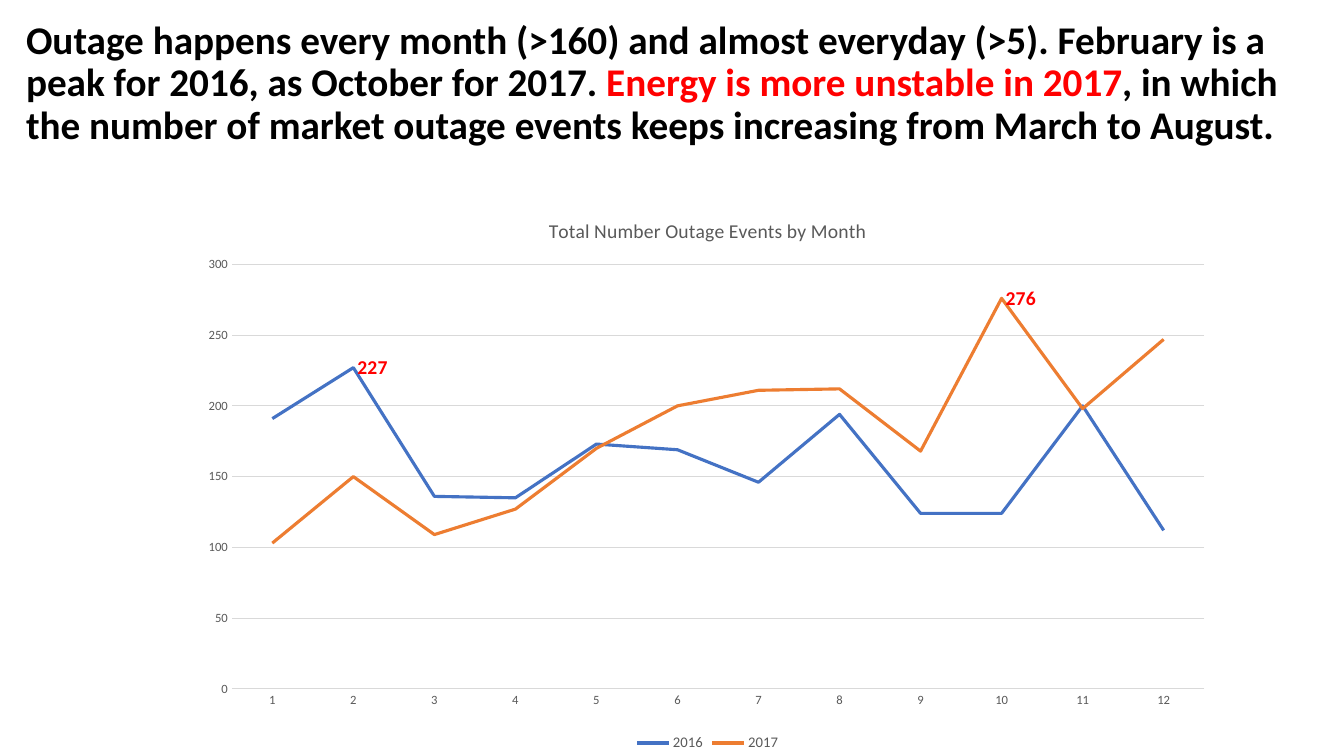
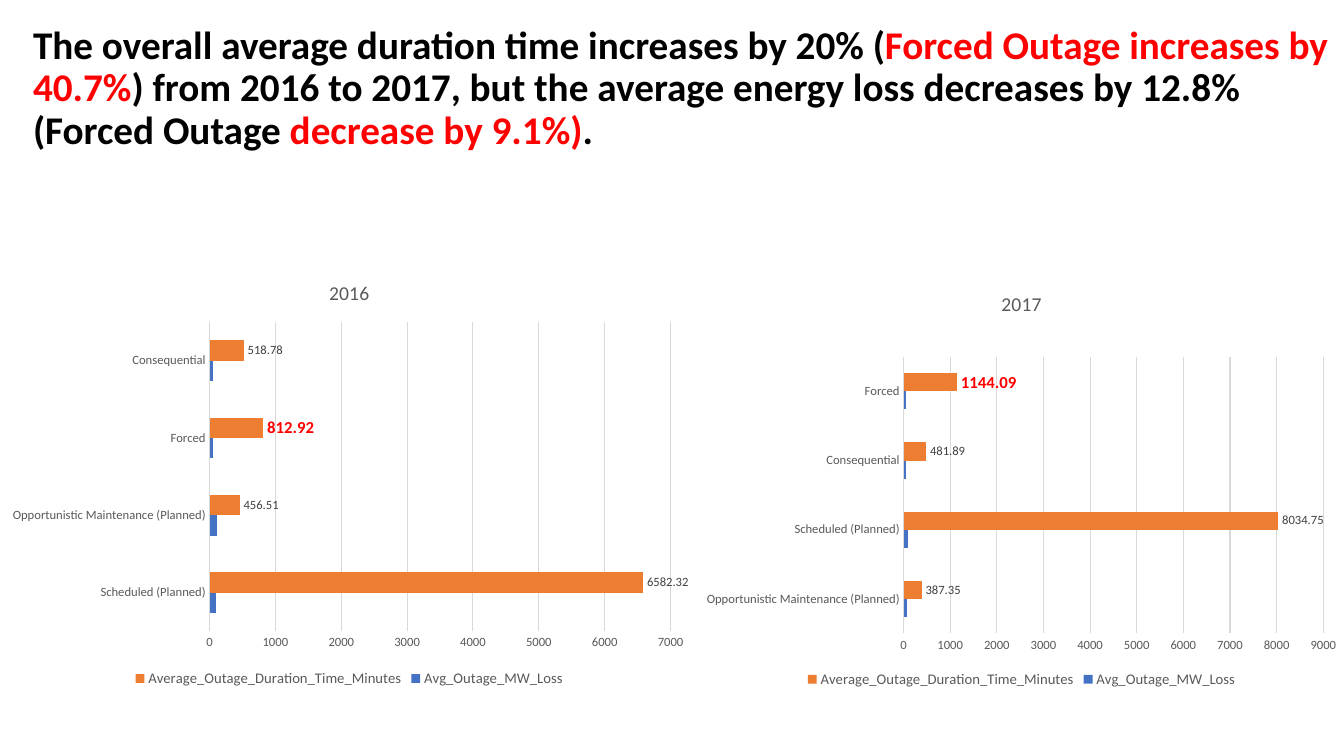
from lxml.etree import SubElement
from pptx import Presentation
from pptx.chart.data import CategoryChartData
from pptx.dml.color import RGBColor
from pptx.enum.chart import (XL_CHART_TYPE as ChartType, XL_LABEL_POSITION as LabelPos,
                             XL_LEGEND_POSITION as LegendPos, XL_TICK_MARK as TickMark)
from pptx.enum.text import MSO_ANCHOR as Anchor
from pptx.oxml.ns import qn
from pptx.util import Pt

FONT = "Calibri"
COLORS = {
    "title": "000000", "highlight": "FF0000", "axis_text": "595959",
    "label": "404040", "grid": "D9D9D9", "blue": "4472C4", "orange": "ED7D31",
}
SERIES_COLORS = ("blue", "orange")


def rgb(name):
    return RGBColor.from_string(COLORS[name])


def style_font(font, size, color, bold=False):
    font.name, font.size, font.bold = FONT, Pt(size), bold
    font.color.rgb = rgb(color)


def add_run(paragraph, text, **style):
    run = paragraph.add_run()
    run.text = text
    style_font(run.font, **style)


def add_headline(slide, box, parts):
    """Headline made of (text, colour) parts."""
    frame = slide.shapes.add_textbox(*map(Pt, box)).text_frame
    frame.word_wrap = True
    frame.vertical_anchor = Anchor.MIDDLE
    paragraph = frame.paragraphs[0]
    paragraph.line_spacing = 0.9
    for text, color in parts:
        add_run(paragraph, text, size=28, color=color, bold=True)


def place_plot(chart, fractions):
    """Fix the inner plot area as x, y, w, h fractions of the chart."""
    plot_area = chart.element.find(".//" + qn("c:plotArea"))
    for old in plot_area.findall(qn("c:layout")):
        plot_area.remove(old)
    layout = SubElement(plot_area, qn("c:layout"))
    plot_area.insert(0, layout)
    manual = SubElement(layout, qn("c:manualLayout"))
    settings = [("layoutTarget", "inner"), ("xMode", "edge"), ("yMode", "edge")]
    settings += zip("xywh", fractions)
    for tag, value in settings:
        SubElement(manual, qn("c:" + tag)).set("val", str(value))


def style_axes(chart, maximum, step):
    for axis in (chart.category_axis, chart.value_axis):
        axis.major_tick_mark = axis.minor_tick_mark = TickMark.NONE
        style_font(axis.tick_labels.font, 9, "axis_text")
    values = chart.value_axis
    values.minimum_scale, values.maximum_scale, values.major_unit = 0, maximum, step
    values.format.line.fill.background()
    values.has_major_gridlines = True
    for line in (chart.category_axis.format.line, values.major_gridlines.format.line):
        line.color.rgb = rgb("grid")
        line.width = Pt(0.75)


def add_styled_chart(slide, kind, box, title, categories, series, plot, maximum, step):
    data = CategoryChartData()
    data.categories = categories
    for name, values in series.items():
        data.add_series(name, values)
    chart = slide.shapes.add_chart(kind, *map(Pt, box), data).chart
    style_font(chart.font, 10, "title")
    chart.has_title = True
    add_run(chart.chart_title.text_frame.paragraphs[0], title, size=14, color="axis_text")
    chart.chart_title.include_in_layout = False
    chart.has_legend = True
    chart.legend.position = LegendPos.BOTTOM
    chart.legend.include_in_layout = False
    style_font(chart.legend.font, 10.5, "axis_text")
    chart.plots[0].vary_by_categories = False
    style_axes(chart, maximum, step)
    place_plot(chart, plot)
    return chart


def highlight_point(series, index, size, position):
    label = series.points[index].data_label
    style_font(label.font, size, "highlight", bold=True)
    label.position = position


def add_monthly_lines(slide, peaks, **content):
    """Line chart; peaks holds the labelled point of each series."""
    chart = add_styled_chart(slide, ChartType.LINE, **content)
    for series, color, peak in zip(chart.plots[0].series, SERIES_COLORS, peaks):
        series.smooth = False
        series.format.line.color.rgb = rgb(color)
        series.format.line.width = Pt(2.25)
        series.data_labels.show_value = False
        highlight_point(series, peak, 14, LabelPos.RIGHT)


def add_outage_bars(slide, loss, duration, **content):
    """Bar chart of outage types, with the forced outage highlighted."""
    chart = add_styled_chart(
        slide, ChartType.BAR_CLUSTERED, step=1000,
        series={"Avg_Outage_MW_Loss": loss,
                "Average_Outage_Duration_Time_Minutes": duration}, **content)
    chart.plots[0].gap_width = 182
    for series, color in zip(chart.plots[0].series, SERIES_COLORS):
        series.format.fill.solid()
        series.format.fill.fore_color.rgb = rgb(color)
        series.invert_if_negative = False
    duration_series = chart.plots[0].series[1]
    labels = duration_series.data_labels
    labels.show_value = True
    labels.position = LabelPos.OUTSIDE_END
    style_font(labels.font, 9, "label")
    highlight_point(duration_series, content["categories"].index("Forced"), 12,
                    LabelPos.OUTSIDE_END)


def main():
    deck = Presentation()
    deck.slide_width, deck.slide_height = Pt(960), Pt(540)
    blank = deck.slide_layouts[6]

    # Outage events by month
    events = deck.slides.add_slide(blank)
    add_headline(events, (11.5, 22.3, 937.5, 75.6), [
        ("Outage happens every month (>160) and almost everyday (>5). "
         "February is a peak for 2016, as October for 2017. ", "title"),
        ("Energy is more unstable in 2017", "highlight"),
        (", in which the number of market outage events keeps increasing "
         "from March to August.", "title"),
    ])
    add_monthly_lines(
        events, peaks=(1, 9), box=(136, 141, 739, 399),
        title="Total Number Outage Events by Month",
        categories=[str(month) for month in range(1, 13)],
        series={"2016": (191, 227, 136, 135, 173, 169, 146, 194, 124, 124, 200, 112),
                "2017": (103, 150, 109, 127, 170, 200, 211, 212, 168, 276, 198, 247)},
        plot=(0.04, 0.12, 0.94, 0.76), maximum=300, step=50)

    # Duration and energy loss by outage type
    durations = deck.slides.add_slide(blank)
    add_headline(durations, (16.5, 11.5, 941.2, 104.4), [
        ("The overall average duration time increases by 20% (", "title"),
        ("Forced Outage increases by 40.7%", "highlight"),
        (") from 2016 to 2017, but the average energy loss decreases by 12.8% "
         "(Forced Outage ", "title"),
        ("decrease by 9.1%)", "highlight"),
        (".", "title"),
    ])
    scheduled, opportunistic = "Scheduled (Planned)", "Opportunistic Maintenance (Planned)"
    add_outage_bars(
        durations, box=(0, 187, 499, 307), title="2016",
        categories=[scheduled, opportunistic, "Forced", "Consequential"],
        loss=(100, 110, 50, 50), duration=(6582.32, 456.51, 812.92, 518.78),
        plot=(0.3, 0.14, 0.66, 0.72), maximum=7000)
    add_outage_bars(
        durations, box=(495.5, 195, 468.5, 299.5), title="2017",
        categories=[opportunistic, scheduled, "Consequential", "Forced"],
        loss=(75, 100, 50, 50), duration=(387.35, 8034.75, 481.89, 1144.09),
        plot=(0.32, 0.2, 0.64, 0.66), maximum=9000)

    deck.save("out.pptx")


if __name__ == "__main__":
    main()
